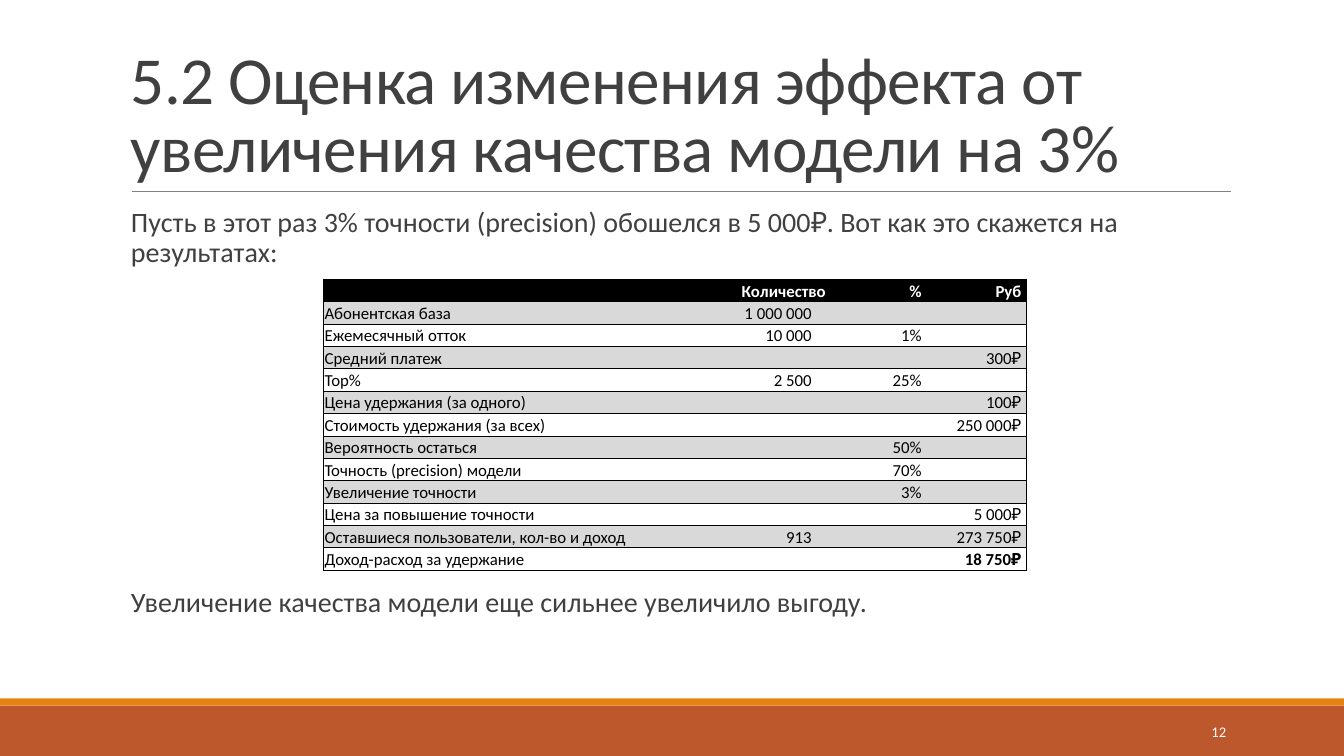
from lxml import etree
from pptx import Presentation
from pptx.dml.color import RGBColor
from pptx.enum.shapes import MSO_CONNECTOR, MSO_SHAPE
from pptx.enum.text import MSO_ANCHOR, PP_ALIGN
from pptx.oxml.ns import qn
from pptx.util import Inches, Pt

LEFT, RIGHT = PP_ALIGN.LEFT, PP_ALIGN.RIGHT
TOP, MIDDLE, BOTTOM = MSO_ANCHOR.TOP, MSO_ANCHOR.MIDDLE, MSO_ANCHOR.BOTTOM
RECTANGLE, STRAIGHT = MSO_SHAPE.RECTANGLE, MSO_CONNECTOR.STRAIGHT

WIDTH, HEIGHT = 13.33, 7.5
MARGIN, CONTENT_WIDTH = 1.2, 11
FONT = "Calibri"
INK, BLACK, WHITE, BAND = "404040", "000000", "FFFFFF", "D9D9D9"
RULE, ORANGE, RUST = "808080", "E48312", "BD582C"

COLUMN_WIDTHS = [3.65, 1.38, 0.91, 1.03]
RIGHT_INSETS = [0.01, 0.19, 0.01, 0.05]
HEADER_INSET = 0.05
ROWS = [
    ("", "Количество", "%", "Руб"),
    ("Абонентская база", "1 000 000", "", ""),
    ("Ежемесячный отток", "10 000", "1%", ""),
    ("Средний платеж", "", "", "300₽"),
    ("Top%", "2 500", "25%", ""),
    ("Цена удержания (за одного)", "", "", "100₽"),
    ("Стоимость удержания (за всех)", "", "", "250 000₽"),
    ("Вероятность остаться", "", "50%", ""),
    ("Точность (precision) модели", "", "70%", ""),
    ("Увеличение точности", "", "3%", ""),
    ("Цена за повышение точности", "", "", "5 000₽"),
    ("Оставшиеся пользователи, кол-во и доход", "913", "", "273 750₽"),
    ("Доход-расход за удержание", "", "", "18 750₽"),
]


def color(value):
    return RGBColor.from_string(value)


def add_run(paragraph, text, size, ink, bold=False):
    run = paragraph.add_run()
    run.text = text
    run.font.name = FONT
    run.font.size = Pt(size)
    run.font.bold = bold
    run.font.color.rgb = color(ink)
    return run


def add_text(slide, box, text, size, ink=INK, anchor=TOP, align=LEFT,
             line_spacing=1.0, right_inset=0.1):
    frame = slide.shapes.add_textbox(*map(Inches, box)).text_frame
    frame.word_wrap = True
    frame.vertical_anchor = anchor
    frame.margin_right = Inches(right_inset)
    paragraph = frame.paragraphs[0]
    paragraph.alignment = align
    paragraph.line_spacing = line_spacing
    return add_run(paragraph, text, size, ink)


def add_bar(slide, box, fill):
    bar = slide.shapes.add_shape(RECTANGLE, *map(Inches, box))
    bar.shadow.inherit = False
    bar.fill.solid()
    bar.fill.fore_color.rgb = color(fill)
    bar.line.fill.background()


def add_footer(slide, box, number):
    left, top, width, height = box
    stripe = 0.07
    add_bar(slide, (left, top + stripe, width, height - stripe), RUST)
    add_bar(slide, (left, top, width, stripe), ORANGE)
    add_text(slide, (left + width - 2.5, top + 0.13, 1.43, 0.4), number, 10.5,
             WHITE, MIDDLE, RIGHT)


def add_title(slide, box, text):
    left, top, width, height = box
    run = add_text(slide, box, text, 48, anchor=BOTTOM, line_spacing=0.85)
    run.font._element.set("spc", "-50")
    base = top + height
    rule = slide.shapes.add_connector(
        STRAIGHT, *map(Inches, (left + 0.11, base, left + width + 0.01, base)))
    rule.line.color.rgb = color(RULE)
    rule.line.width = Pt(0.5)
    etree.SubElement(rule._element.spPr, qn("a:effectLst"))


def set_borders(cell, visible):
    """Draw the named sides (L, R, T, B) in black and hide the others."""
    properties = cell._tc.get_or_add_tcPr()
    for position, side in enumerate("LRTB"):
        line = etree.Element(qn(f"a:ln{side}"), w=str(Pt(0.5)))
        if side in visible:
            fill = etree.SubElement(line, qn("a:solidFill"))
            etree.SubElement(fill, qn("a:srgbClr"), val=BLACK)
        else:
            etree.SubElement(line, qn("a:noFill"))
        properties.insert(position, line)


def fill_cell(cell, text, row, column):
    header, last_column = row == 0, column == len(COLUMN_WIDTHS) - 1
    total = row == len(ROWS) - 1 and last_column
    cell.vertical_anchor = BOTTOM
    cell.margin_left = cell.margin_top = Inches(0.01)
    cell.margin_bottom = 0
    inset = HEADER_INSET if header and column == 1 else RIGHT_INSETS[column]
    cell.margin_right = Inches(inset)
    if header or row % 2:
        cell.fill.solid()
        cell.fill.fore_color.rgb = color(BLACK if header else BAND)
    else:
        cell.fill.background()
    set_borders(cell, "TB" + "L" * (column == 0) + "R" * last_column)

    paragraph = cell.text_frame.paragraphs[0]
    paragraph.alignment = RIGHT if column else LEFT
    if text:
        add_run(paragraph, text, 12, WHITE if header else BLACK, header or total)
    else:
        etree.SubElement(paragraph._p, qn("a:endParaRPr"), sz="1200")


def add_effect_table(slide, box):
    frame = slide.shapes.add_table(len(ROWS), len(COLUMN_WIDTHS), *map(Inches, box))
    table = frame.table
    table.first_row = table.horz_banding = False
    for column, width in zip(table.columns, COLUMN_WIDTHS):
        column.width = Inches(width)
    for row, values in enumerate(ROWS):
        table.rows[row].height = Inches(box[3] / len(ROWS))
        for column, text in enumerate(values):
            fill_cell(table.cell(row, column), text, row, column)


def add_body(slide, box):
    left, top, width, height = box
    paragraphs = [
        (0, "Пусть в этот раз 3% точности (precision) обошелся в 5 000₽. "
            "Вот как это скажется на результатах:"),
        (3.77, "Увеличение качества модели еще сильнее увеличило выгоду."),
    ]
    for offset, text in paragraphs:
        add_text(slide, (left, top + offset, width, height * 0.15), text, 20,
                 line_spacing=0.9, right_inset=0)
    add_effect_table(slide, (left + 2.01, top + 0.75, sum(COLUMN_WIDTHS), 2.89))


def main():
    presentation = Presentation()
    presentation.slide_width = Inches(WIDTH)
    presentation.slide_height = Inches(HEIGHT)
    slide = presentation.slides.add_slide(presentation.slide_layouts[6])
    add_footer(slide, (0, 6.93, WIDTH, HEIGHT - 6.93), "12")
    add_title(slide, (MARGIN, 0.31, CONTENT_WIDTH, 1.59),
              "5.2 Оценка изменения эффекта от увеличения качества модели на 3%")
    add_body(slide, (MARGIN, 2.02, CONTENT_WIDTH, 4.4))
    presentation.save("out.pptx")


if __name__ == "__main__":
    main()
